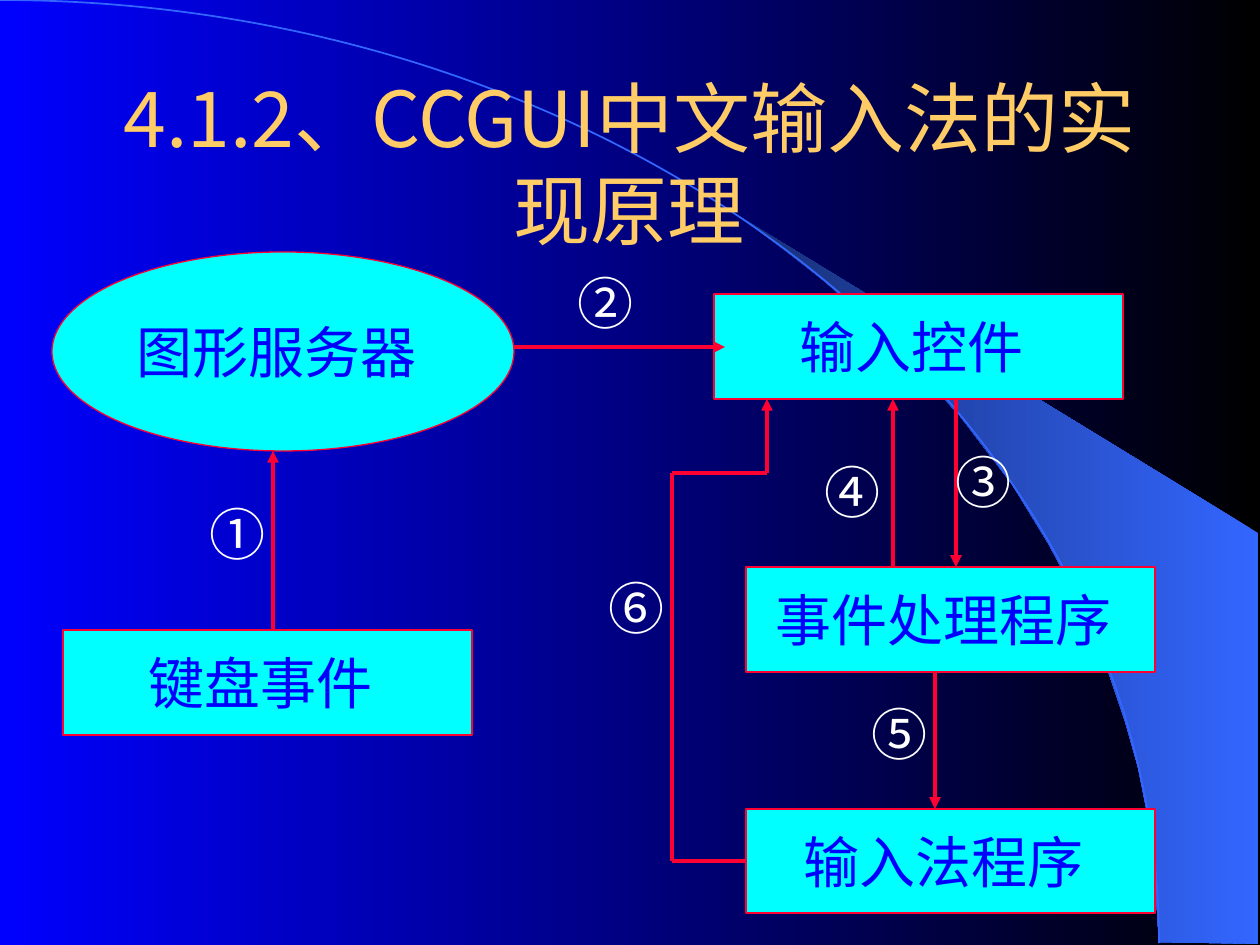
from lxml import etree
from pptx import Presentation
from pptx.dml.color import RGBColor
from pptx.enum.shapes import MSO_CONNECTOR, MSO_SHAPE
from pptx.enum.text import MSO_ANCHOR, MSO_AUTO_SIZE, PP_ALIGN
from pptx.oxml.ns import qn
from pptx.util import Pt

EMU_PER_PX = 914400 / 126
FONT = "Noto Sans CJK SC"

BLACK = RGBColor(0x00, 0x00, 0x00)
WHITE = RGBColor(0xFF, 0xFF, 0xFF)
BLUE = RGBColor(0x00, 0x00, 0xFF)
SKY = RGBColor(0x33, 0x66, 0xFF)
NAVY = RGBColor(0x17, 0x2F, 0x75)
CYAN = RGBColor(0x00, 0xFF, 0xFF)
RED = RGBColor(0xFF, 0x00, 0x33)
GOLD = RGBColor(0xFF, 0xCC, 0x66)

RECT = MSO_SHAPE.RECTANGLE
OVAL = MSO_SHAPE.OVAL
ARC = MSO_SHAPE.ARC
STRAIGHT = MSO_CONNECTOR.STRAIGHT
CENTER = PP_ALIGN.CENTER
TOP = MSO_ANCHOR.TOP
MIDDLE = MSO_ANCHOR.MIDDLE
FIT_SHAPE = MSO_AUTO_SIZE.SHAPE_TO_FIT_TEXT
NO_FIT = MSO_AUTO_SIZE.NONE
LEFT_SIDE = 1

BEAM = [(1159, 942), (1258, 944), (1258, 533), (742, 218), (786, 251),
        (823, 280), (863, 315), (902, 353), (960, 416), (1012, 484),
        (1048, 543), (1081, 604), (1106, 665), (1125, 721), (1138, 767),
        (1150, 827), (1155, 877)]

STEP_LABELS = [("①", 210, 494, 53), ("②", 577, 262, 69), ("③", 955, 441, 68),
               ("④", 819, 451, 79), ("⑤", 872, 693, 69), ("⑥", 608, 567, 69)]

ARROWS = [((273, 630), (273, 451)), ((514, 347), (725, 347)),
          ((956, 399), (956, 567)), ((893, 567), (893, 399)),
          ((935, 672), (935, 809))]

RETURN_ROUTE = [(746, 861), (672, 861), (672, 473), (767, 473), (767, 399)]


def px(*lengths):
    return [round(length * EMU_PER_PX) for length in lengths]


def set_gradient(fill, start, end):
    """Blend from start at the right to end at the left."""
    fill.gradient()
    fill.gradient_angle = 180
    for stop, color, position in zip(fill.gradient_stops, (start, end), (0, 1)):
        stop.color.rgb = color
        stop.position = position


def write_text(shape, text, *, size=32, color=BLUE, anchor=MIDDLE, wrap=False,
               left_inset=0, fit=NO_FIT):
    frame = shape.text_frame
    frame.auto_size = fit
    frame.word_wrap = wrap
    frame.vertical_anchor = anchor
    frame.margin_left, frame.margin_right = px(left_inset, 13)
    frame.margin_top, frame.margin_bottom = px(6, 6)
    para = frame.paragraphs[0]
    para.alignment = CENTER
    span = para.add_run()
    span.text = text
    span.font.size = Pt(size)
    span.font.color.rgb = color
    span.font.name = FONT
    east_asian = etree.SubElement(span.font._element, qn("a:ea"))
    east_asian.set("typeface", FONT)


def add_text(page, text, left, top, width, height, **text_format):
    box = page.shapes.add_textbox(*px(left, top, width, height))
    write_text(box, text, **text_format)


def add_node(page, text, left, top, width=409, height=105, kind=RECT):
    node = page.shapes.add_shape(kind, *px(left, top, width, height))
    node.shadow.inherit = False
    node.fill.solid()
    node.fill.fore_color.rgb = CYAN
    node.line.color.rgb = RED
    node.line.width = Pt(0.75)
    write_text(node, text)
    return node


def add_line(page, start, end, arrow=True):
    line = page.shapes.add_connector(STRAIGHT, *px(*start, *end))
    line.line.color.rgb = RED
    line.line.width = Pt(2.25)
    if arrow:
        head = etree.SubElement(line.line._get_or_add_ln(), qn("a:tailEnd"))
        head.set("type", "triangle")
    etree.SubElement(line._element.spPr, qn("a:effectLst"))
    return line


def add_backdrop(page):
    set_gradient(page.background.fill, BLACK, BLUE)

    builder = page.shapes.build_freeform(*BEAM[0], scale=EMU_PER_PX)
    builder.add_line_segments(BEAM[1:], close=True)
    beam = builder.convert_to_shape()
    beam.shadow.inherit = False
    set_gradient(beam.fill, SKY, NAVY)
    beam.line.fill.background()

    horizon = page.shapes.add_shape(ARC, *px(-1159, 0, 2318, 1886))
    horizon.shadow.inherit = False
    horizon.fill.background()
    horizon.line.color.rgb = SKY
    horizon.line.width = Pt(1)


def add_return_route(page, source):
    """Draw the elbowed way from the source node back to the input control."""
    legs = list(zip(RETURN_ROUTE, RETURN_ROUTE[1:]))
    lines = [add_line(page, start, end, arrow=end == RETURN_ROUTE[-1])
             for start, end in legs]
    lines[0].begin_connect(source, LEFT_SIDE)


def main():
    deck = Presentation()
    deck.slide_width, deck.slide_height = px(1260, 945)
    page = deck.slides.add_slide(deck.slide_layouts[6])

    add_backdrop(page)
    add_text(page, "4.1.2、CCGUI中文输入法的实现原理", 94, 84, 1071, 158,
             size=44, color=GOLD, wrap=True, left_inset=13)

    add_node(page, "图形服务器", 52, 252, 462, 199, kind=OVAL)
    add_node(page, "输入控件", 714, 294)
    add_node(page, "键盘事件", 63, 630)
    add_node(page, "事件处理程序", 746, 567)
    input_method = add_node(page, "输入法程序", 746, 809, height=104)

    for start, end in ARROWS:
        add_line(page, start, end)
    add_return_route(page, input_method)

    for text, left, top, width in STEP_LABELS:
        add_text(page, text, left, top, width, 79, color=WHITE, anchor=TOP,
                 wrap=True, fit=FIT_SHAPE)

    deck.save("out.pptx")


if __name__ == "__main__":
    main()
